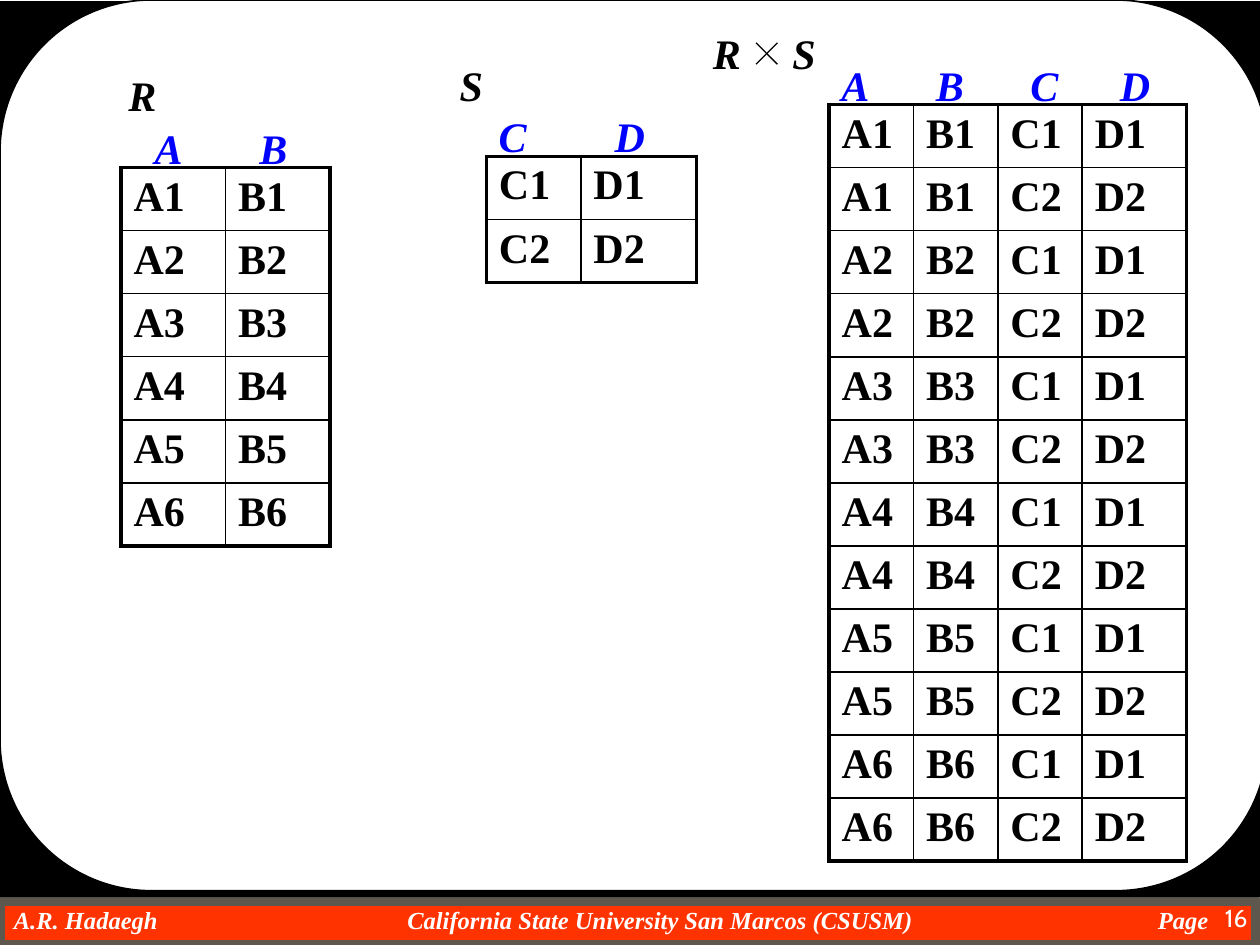
from dataclasses import dataclass
from itertools import product

from lxml.etree import SubElement
from pptx import Presentation
from pptx.dml.color import RGBColor
from pptx.enum.shapes import MSO_CONNECTOR, MSO_SHAPE
from pptx.enum.text import PP_ALIGN
from pptx.oxml.ns import qn
from pptx.util import Inches, Pt


@dataclass(frozen=True)
class Theme:
    black: str = "000000"
    white: str = "FFFFFF"
    blue: str = "0000FF"
    red: str = "FF3300"
    gray: str = "5E574E"
    serif: str = "Times New Roman"
    sans: str = "Cabin"
    large: float = 24
    small: float = 14
    thick: float = 2.25
    thin: float = 1


@dataclass(frozen=True)
class Label:
    text: str
    left: float
    top: float
    color: str
    width: float = 0.44


@dataclass(frozen=True)
class Grid:
    left: float
    top: float
    cols: tuple[float, ...]
    rows: list[tuple[str, ...]]


THEME = Theme()
ROW = 0.5


def style(para, size: float, color: str, font: str = THEME.serif,
          bold: bool = True, italic: bool = True) -> None:
    for run in para.runs:
        run.font.name = font
        run.font.size = Pt(size)
        run.font.bold = bold
        run.font.italic = italic
        run.font.color.rgb = RGBColor.from_string(color)


def add_tabs(para, *stops: tuple[float, str]) -> None:
    tabs = SubElement(para._p.get_or_add_pPr(), qn("a:tabLst"))
    for pos, align in stops:
        SubElement(tabs, qn("a:tab"), pos=str(Inches(pos)), algn=align)


def add_text(slide, text: str, left: float, top: float, width: float,
             height: float):
    box = slide.shapes.add_textbox(Inches(left), Inches(top),
                                   Inches(width), Inches(height))
    frame = box.text_frame
    frame.word_wrap = True
    frame.text = text
    return frame


def add_label(slide, label: Label):
    frame = add_text(slide, label.text, label.left, label.top, label.width, 0.5)
    style(frame.paragraphs[0], THEME.large, label.color)
    return frame


def add_block(slide, kind, left: float, top: float, width: float,
              height: float, fill: str, line: str, weight: float):
    shape = slide.shapes.add_shape(kind, Inches(left), Inches(top),
                                   Inches(width), Inches(height))
    shape.shadow.inherit = False
    shape.fill.solid()
    shape.fill.fore_color.rgb = RGBColor.from_string(fill)
    if weight:
        shape.line.color.rgb = RGBColor.from_string(line)
        shape.line.width = Pt(weight)
    else:
        shape.line.fill.background()
    return shape


def add_border(cell, side: str, outer: bool) -> None:
    weight = THEME.thick if outer else THEME.thin
    line = SubElement(cell._tc.get_or_add_tcPr(), qn(f"a:ln{side}"),
                      w=str(Pt(weight)))
    fill = SubElement(line, qn("a:solidFill"))
    SubElement(fill, qn("a:srgbClr"), val=THEME.black)


def add_grid(slide, grid: Grid) -> None:
    count, span = len(grid.rows), len(grid.cols)
    table = slide.shapes.add_table(
        count, span, Inches(grid.left), Inches(grid.top),
        Inches(sum(grid.cols)), Inches(ROW * count)).table
    table.first_row = table.horz_banding = False
    for col, width in zip(table.columns, grid.cols):
        col.width = Inches(width)
    for r, c in product(range(count), range(span)):
        cell = table.cell(r, c)
        cell.text_frame.text = grid.rows[r][c]
        style(cell.text_frame.paragraphs[0], THEME.large, THEME.black,
              italic=False)
        add_border(cell, "L", c == 0)
        add_border(cell, "R", c == span - 1)
        add_border(cell, "T", r == 0)
        add_border(cell, "B", r == count - 1)
        cell.fill.background()


def add_cross(slide, left: float, top: float, size: float) -> None:
    group = slide.shapes.add_group_shape()
    for start, end in ((left + size, left), (left, left + size)):
        line = group.shapes.add_connector(
            MSO_CONNECTOR.STRAIGHT, Inches(start), Inches(top),
            Inches(end), Inches(top + size))
        line.line.color.rgb = RGBColor.from_string(THEME.black)
        line.line.width = Pt(0.75)
        SubElement(line._element.spPr, qn("a:effectLst"))


def add_frame(slide) -> None:
    # Footer bar
    add_block(slide, MSO_SHAPE.RECTANGLE, 0, 7.15, 9.97, 0.35,
              THEME.red, THEME.gray, 6)
    foot = add_text(
        slide,
        "A.R. Hadaegh\tCalifornia State University San Marcos (CSUSM)\tPage",
        0, 7.18, 9.68, 0.23)
    foot.margin_left = Inches(0.11)
    foot.margin_right = foot.margin_top = foot.margin_bottom = 0
    para = foot.paragraphs[0]
    add_tabs(para, (5.13, "ctr"), (9.48, "r"))
    style(para, THEME.small, THEME.white)

    # Black backdrop with a rounded white panel
    add_block(slide, MSO_SHAPE.RECTANGLE, 0, 0.01, 10, 7.11,
              THEME.black, THEME.black, 0)
    panel = add_block(slide, MSO_SHAPE.ROUNDED_RECTANGLE, 0, 0, 10.06, 7.07,
                      THEME.white, THEME.black, 1)
    panel.adjustments[0] = 0.17

    # Page number
    para = add_text(slide, "16", 9.25, 7.12, 0.75, 0.38).paragraphs[0]
    para.alignment = PP_ALIGN.RIGHT
    style(para, THEME.small, THEME.white, THEME.sans, False, False)


def main() -> None:
    deck = Presentation()
    deck.slide_width, deck.slide_height = Inches(10), Inches(7.5)
    slide = deck.slides.add_slide(deck.slide_layouts[6])
    add_frame(slide)

    # Relations and their Cartesian product
    left = [(f"A{i}", f"B{i}") for i in range(1, 7)]
    right = [(f"C{i}", f"D{i}") for i in range(1, 3)]
    pairs = [a + b for a, b in product(left, right)]
    for grid in (Grid(0.96, 1.33, (0.83, 0.83), left),
                 Grid(3.86, 1.24, (0.75, 0.92), right),
                 Grid(6.58, 0.83, (0.67, 0.67, 0.67, 0.83), pairs)):
        add_grid(slide, grid)

    # Column heads
    for names, top, spots in (("AB", 0.92, (1.13, 1.96)),
                              ("CD", 0.83, (3.86, 4.78)),
                              ("ABCD", 0.42, (6.58, 7.33, 8.08, 8.79))):
        for name, spot in zip(names, spots):
            add_label(slide, Label(name, spot, top, THEME.blue))

    # Relation names
    add_label(slide, Label("R", 0.92, 0.5, THEME.black))
    add_label(slide, Label("S", 3.55, 0.42, THEME.black))
    name = add_label(slide, Label("R\tS", 5.56, 0.17, THEME.black, 1.1))
    add_tabs(name.paragraphs[0], (0.63, "l"))
    add_cross(slide, 6, 0.34, 0.17)

    deck.save("out.pptx")


if __name__ == "__main__":
    main()
